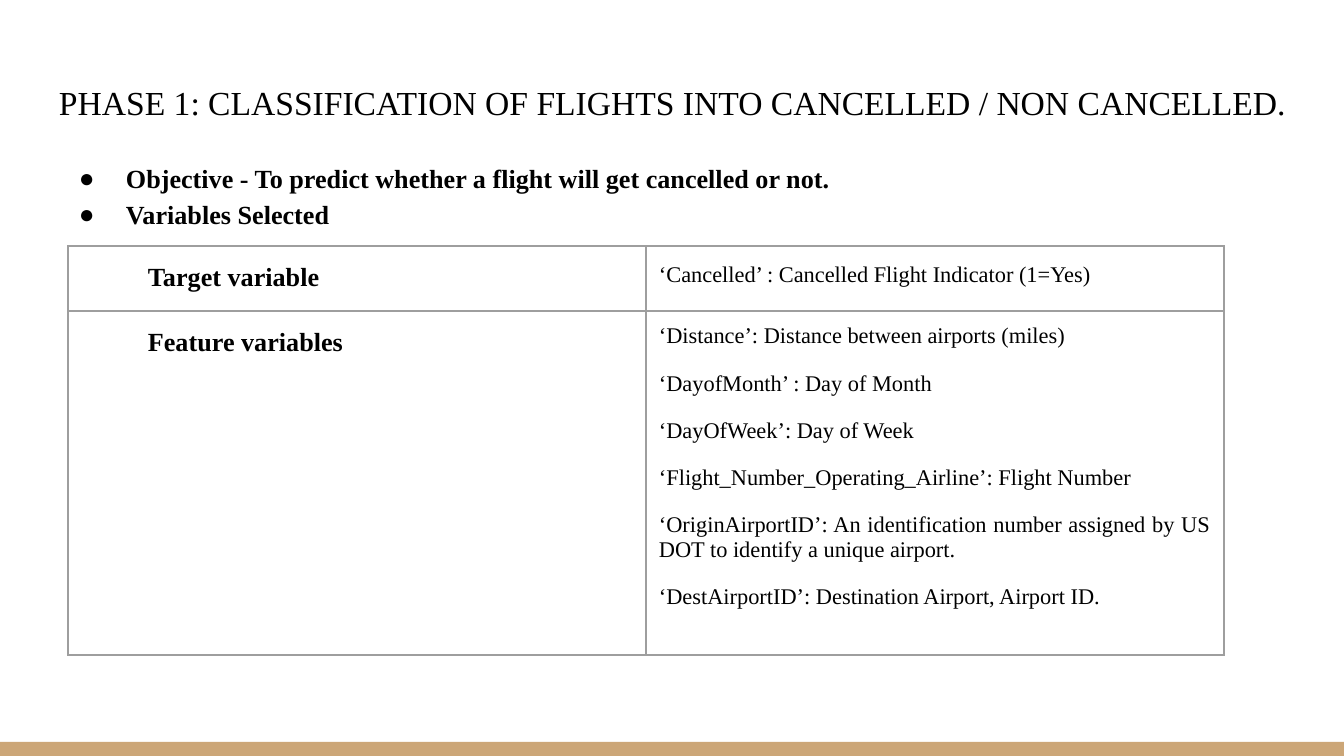
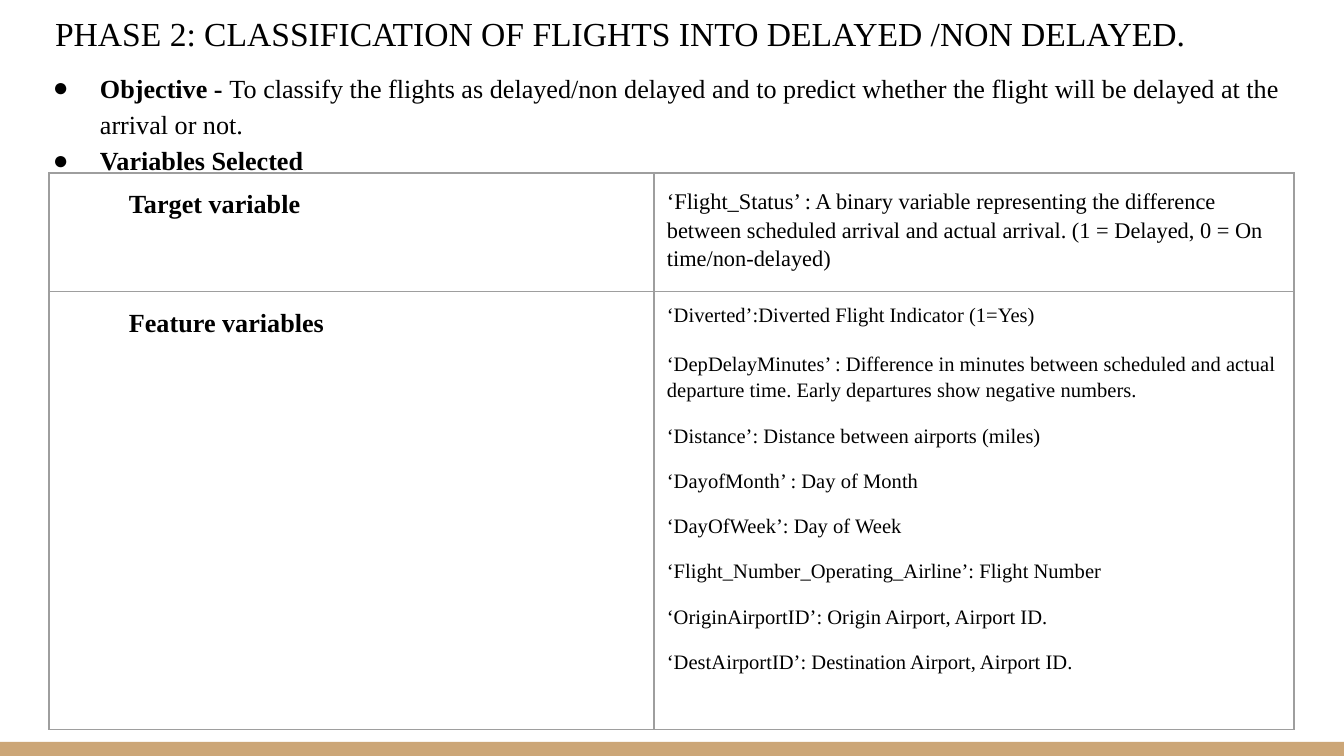
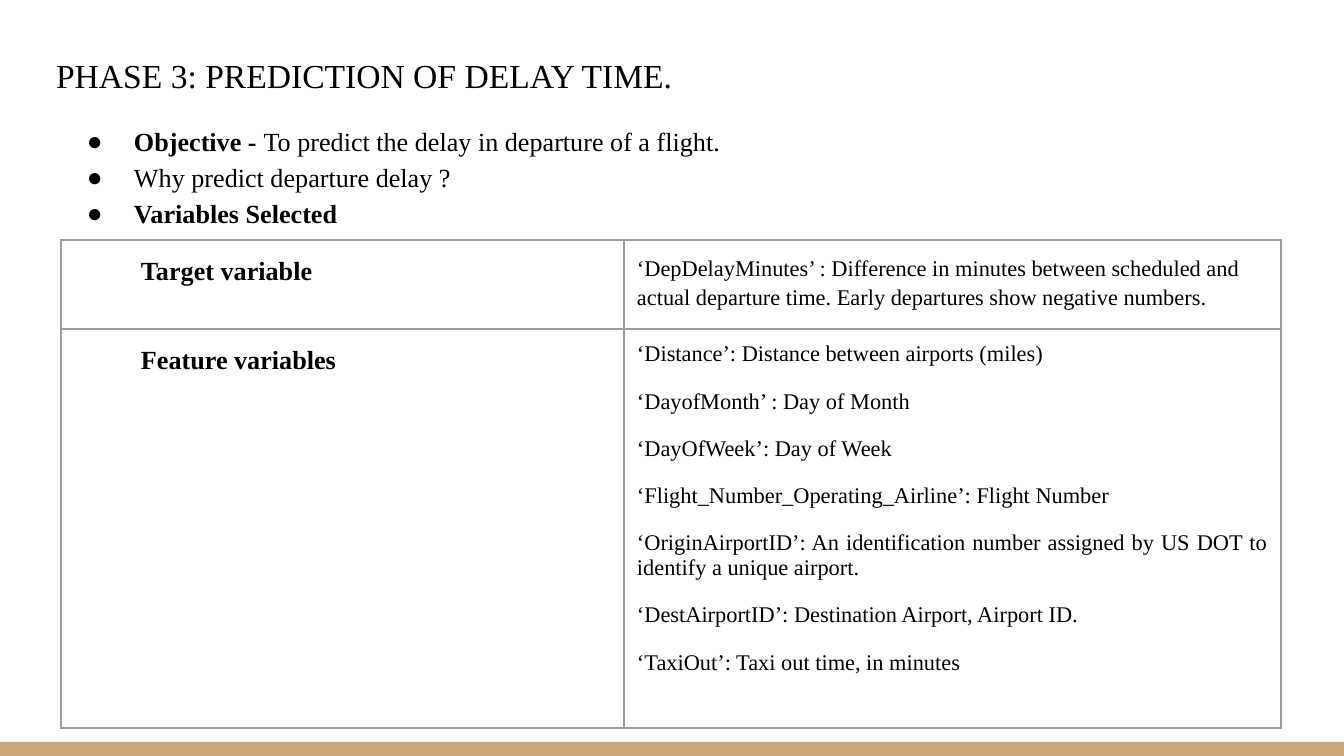
import dataclasses

import lxml.etree
import pptx
import pptx.dml.color
import pptx.enum.shapes
import pptx.enum.text
import pptx.oxml.ns
import pptx.util

SCALE = 914400 / 134.4
WIDE, HIGH = 1344, 756
ALIGN = pptx.enum.text.PP_ALIGN


@dataclasses.dataclass(frozen=True)
class Theme:
    font: str = "Times New Roman"
    ink: str = "000000"
    band: str = "CCA677"
    rule: str = "9E9E9E"
    title: int = 18
    body: int = 14
    cell: int = 12
    small: int = 11
    gap: int = 12
    lead: float = 1.15
    pad: int = 13
    dent: int = 67
    hang: int = 47
    line: float = 0.75


THEME = Theme()

DELAY = ("‘DepDelayMinutes’ : Difference in minutes between scheduled and actual "
         "departure time. Early departures show negative numbers.")
SHARED = [
    "‘Distance’: Distance between airports (miles)",
    "‘DayofMonth’ : Day of Month",
    "‘DayOfWeek’: Day of Week",
    "‘Flight_Number_Operating_Airline’: Flight Number",
]
ORIGIN = ("‘OriginAirportID’: An identification number assigned by US DOT "
          "to identify a unique airport.")
DEST = "‘DestAirportID’: Destination Airport, Airport ID."

PHASES = [
    {
        "title": "PHASE 1: CLASSIFICATION OF FLIGHTS INTO CANCELLED / NON CANCELLED.",
        "head": (46, 42, 1271, 93),
        "list": (46, 145, 1253, 569),
        "points": [("Objective - To predict whether a flight will get cancelled or not.", ""),
                   ("Variables Selected", "")],
        "grid": (68, 246), "cols": (578, 578), "rows": (65, 344),
        "target": "‘Cancelled’ : Cancelled Flight Indicator (1=Yes)",
        "traits": [*SHARED, ORIGIN, DEST],
        "size": THEME.cell,
    },
    {
        "title": "PHASE 2: CLASSIFICATION OF FLIGHTS INTO DELAYED /NON DELAYED.",
        "head": (42, 0, 1253, 66),
        "list": (20, 55, 1308, 672),
        "points": [("Objective - ", "To classify the flights as delayed/non delayed and to "
                    "predict whether the flight will be delayed at the arrival or not."),
                   ("Variables Selected", "")],
        "grid": (49, 173), "cols": (605, 640), "rows": (113, 438),
        "target": "‘Flight_Status’ : A binary variable representing the difference between "
                  "scheduled arrival and actual arrival. (1 = Delayed, 0 = On time/non-delayed)",
        "traits": ["‘Diverted’:Diverted Flight Indicator (1=Yes)", DELAY, *SHARED,
                   "‘OriginAirportID’: Origin Airport, Airport ID.", DEST],
        "size": THEME.small,
    },
    {
        "title": "PHASE 3: PREDICTION OF DELAY TIME.",
        "head": (43, 15, 1271, 93),
        "list": (54, 108, 1253, 569),
        "points": [("Objective - ", "To predict the delay in departure of a flight."),
                   ("", "Why predict departure delay ?"),
                   ("Variables Selected", "")],
        "grid": (61, 240), "cols": (563, 657), "rows": (89, 399),
        "target": DELAY,
        "traits": [*SHARED, ORIGIN, DEST, "‘TaxiOut’: Taxi out time, in minutes"],
        "size": THEME.cell,
    },
]


def px(count):
    return pptx.util.Emu(round(count * SCALE))


def tint(code):
    return pptx.dml.color.RGBColor.from_string(code)


def put(thing, values):
    for name, value in values.items():
        setattr(thing, name, value)


def node(parent, tag, **values):
    return lxml.etree.SubElement(parent, pptx.oxml.ns.qn(tag), **values)


def pads():
    return {f"margin_{side}": px(THEME.pad) for side in ("left", "top", "right", "bottom")}


def write(para, text, size, bold=False):
    run = para.add_run()
    run.text = text
    put(run.font, {"name": THEME.font, "size": pptx.util.Pt(size), "bold": bold})
    run.font.color.rgb = tint(THEME.ink)


def indent(para, left, first=0):
    props = para._p.get_or_add_pPr()
    props.set("marL", str(px(left)))
    props.set("indent", str(px(first)))
    return props


def lines(frame, count):
    return [frame.paragraphs[0]] + [frame.add_paragraph() for _ in range(count - 1)]


def add_band(slide):
    top = 742
    band = slide.shapes.add_shape(pptx.enum.shapes.MSO_SHAPE.RECTANGLE,
                                  px(0), px(top), px(WIDE), px(HIGH - top))
    band.shadow.inherit = False
    band.fill.solid()
    band.fill.fore_color.rgb = tint(THEME.band)
    band.line.fill.background()
    slide.slide_layout.shapes.element.append(band.element)


def add_title(slide, text, box):
    title = slide.shapes.title
    put(title, dict(zip(("left", "top", "width", "height"), map(px, box))))
    put(title.text_frame, {
        **pads(), "word_wrap": True,
        "auto_size": pptx.enum.text.MSO_AUTO_SIZE.NONE,
        "vertical_anchor": pptx.enum.text.MSO_ANCHOR.BOTTOM,
    })
    para = title.text_frame.paragraphs[0]
    para.alignment = ALIGN.LEFT
    write(para, text, THEME.title)


def add_list(slide, points, box):
    frame = slide.shapes.add_textbox(*map(px, box)).text_frame
    put(frame, {**pads(), "word_wrap": True})
    for para, (strong, plain) in zip(lines(frame, len(points)), points):
        para.line_spacing = THEME.lead
        props = indent(para, THEME.dent, -THEME.hang)
        node(props, "a:buFont", typeface=THEME.font)
        node(props, "a:buChar", char="●")
        for text, bold in ((strong, True), (plain, False)):
            if text:
                write(para, text, THEME.body, bold)


def frame_cell(cell):
    put(cell, pads())
    props = cell._tc.get_or_add_tcPr()
    for side in "LRTB":
        edge = node(props, f"a:ln{side}", w=str(pptx.util.Pt(THEME.line)))
        node(node(edge, "a:solidFill"), "a:srgbClr", val=THEME.rule)
    cell.fill.background()


def fill_label(cell, text):
    para = cell.text_frame.paragraphs[0]
    para.line_spacing = THEME.lead
    indent(para, THEME.dent)
    write(para, text, THEME.body, True)


def fill_target(cell, text):
    para = cell.text_frame.paragraphs[0]
    para.line_spacing = THEME.lead
    write(para, text, THEME.cell)


def fill_traits(cell, traits, size):
    for rank, (para, text) in enumerate(zip(lines(cell.text_frame, len(traits)), traits)):
        loose = text == DELAY
        para.alignment = ALIGN.LEFT if loose else ALIGN.JUSTIFY
        if loose:
            para.line_spacing = THEME.lead
        if rank:
            para.space_before = pptx.util.Pt(THEME.gap)
        write(para, text, size)


def add_grid(slide, phase):
    cols, rows = phase["cols"], phase["rows"]
    table = slide.shapes.add_table(len(rows), len(cols), *map(px, phase["grid"]),
                                   px(sum(cols)), px(sum(rows))).table
    put(table, {"first_row": False, "horz_banding": False})
    for col, width in zip(table.columns, cols):
        col.width = px(width)
    for row, height in zip(table.rows, rows):
        row.height = px(height)
    for cell in table.iter_cells():
        frame_cell(cell)
    for rank, label in enumerate(("Target variable", "Feature variables")):
        fill_label(table.cell(rank, 0), label)
    fill_target(table.cell(0, 1), phase["target"])
    fill_traits(table.cell(1, 1), phase["traits"], phase["size"])


def main():
    deck = pptx.Presentation()
    put(deck, {"slide_width": px(WIDE), "slide_height": px(HIGH)})
    layout = deck.slide_layouts.get_by_name("Title Only")
    for rank, phase in enumerate(PHASES):
        slide = deck.slides.add_slide(layout)
        if rank == 0:
            add_band(slide)
        add_title(slide, phase["title"], phase["head"])
        add_list(slide, phase["points"], phase["list"])
        add_grid(slide, phase)
    deck.save("out.pptx")


if __name__ == "__main__":
    main()
